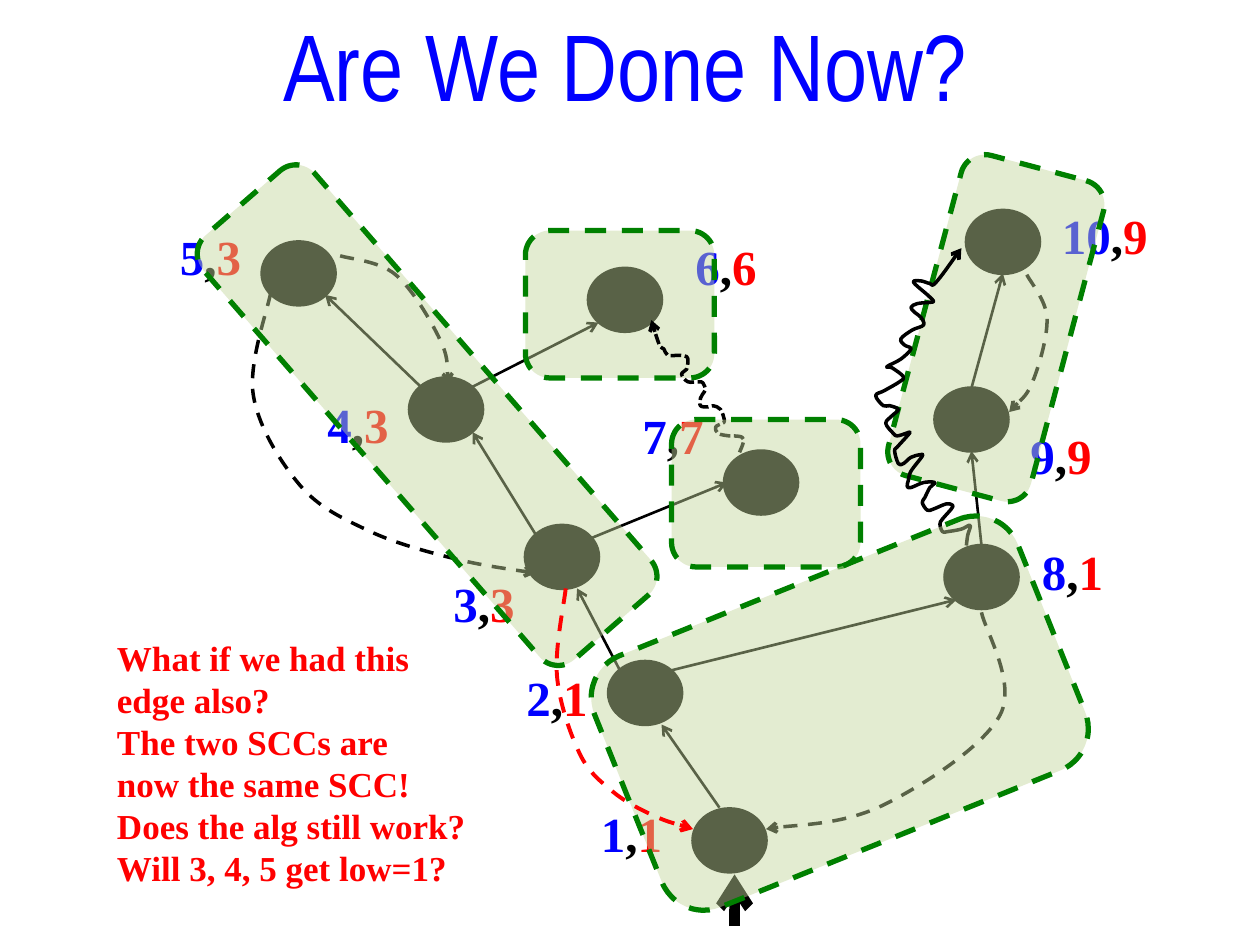
from typing import NamedTuple

from lxml.etree import SubElement
from pptx import Presentation
from pptx.dml.color import RGBColor
from pptx.enum.dml import MSO_LINE
from pptx.enum.shapes import MSO_CONNECTOR, MSO_SHAPE
from pptx.enum.text import MSO_ANCHOR, PP_ALIGN
from pptx.oxml.ns import qn
from pptx.util import Cm, Pt

COLORS = {"blue": "0000FF", "black": "000000", "red": "FF0000",
          "green": "008000", "region": "C3D69B"}
SERIF = "Times New Roman"
NODE_WIDTH, NODE_HEIGHT = 0.58, 0.5

Point = tuple[float, float]


class Node(NamedTuple):
    left: float
    top: float
    index: str
    low: str
    label_left: float
    label_top: float


class Edge(NamedTuple):
    start: Point
    end: Point
    weight: float = 1.5


class Curve(NamedTuple):
    knots: list[Point]
    color: str = "black"
    weight: float = 2
    dash: MSO_LINE | None = MSO_LINE.DASH


class Region(NamedTuple):
    left: float
    top: float
    width: float
    height: float
    rotation: float = 0


NODES = [
    Node(5.5, 6.42, "1", "1", 4.67, 6.33),
    Node(4.83, 5.25, "2", "1", 4.08, 5.25),
    Node(4.17, 4.17, "3", "3", 3.5, 4.5),
    Node(3.25, 3, "4", "3", 2.5, 3.08),
    Node(2.08, 1.92, "5", "3", 1.33, 1.75),
    Node(4.67, 2.13, "6", "6", 5.42, 1.83),
    Node(5.75, 3.58, "7", "7", 5, 3.17),
    Node(7.5, 4.33, "8", "1", 8.17, 4.25),
    Node(7.42, 3.08, "9", "9", 8.08, 3.33),
    Node(7.67, 1.67, "10", "9", 8.33, 1.58),
]
TREE_EDGES = [
    Edge((5.71, 6.41), (5.25, 5.75)),
    Edge((4.92, 5.32), (4.58, 4.67)),
    Edge((4.25, 4.24), (3.75, 3.43)),
    Edge((3.34, 3.07), (2.58, 2.34)),
    Edge((3.75, 3.07), (4.75, 2.56)),
    Edge((4.67, 4.28), (5.77, 3.83)),
    Edge((5.33, 5.32), (7.59, 4.76)),
    Edge((7.79, 4.33), (7.71, 3.58)),
    Edge((7.71, 3.08), (7.96, 2.17)),
    Edge((5.83, 7.35), (5.83, 6.94), weight=6),
]
BACK_EDGES = [
    Curve([(2.15, 2.32), (2.01, 3.13), (2.38, 3.85), (2.92, 4.21), (3.59, 4.43), (4.25, 4.55)]),
    Curve([(2.7, 2.03), (3.14, 2.18), (3.49, 2.69), (3.56, 3.05)]),
    Curve([(7.79, 4.86), (7.94, 5.67), (7.01, 6.39), (6.08, 6.58)]),
    Curve([(8.15, 2.18), (8.31, 2.52), (8.2, 3.02), (8.01, 3.27)]),
]
CROSS_EDGE = Curve([
    (5.87, 3.59), (5.9, 3.51), (5.89, 3.47), (5.83, 3.46), (5.79, 3.46), (5.7, 3.44),
    (5.68, 3.39), (5.73, 3.36), (5.75, 3.34), (5.72, 3.25), (5.66, 3.22), (5.62, 3.23),
    (5.56, 3.22), (5.56, 3.16), (5.59, 3.11), (5.6, 3.09), (5.58, 3.04), (5.55, 3.03),
    (5.46, 3.03), (5.41, 2.97), (5.45, 2.93), (5.46, 2.87), (5.45, 2.83), (5.39, 2.82),
    (5.3, 2.82), (5.27, 2.77), (5.24, 2.75), (5.21, 2.67), (5.18, 2.58), (5.17, 2.54),
], dash=MSO_LINE.SQUARE_DOT)
FORWARD_EDGE = Curve([
    (7.67, 4.33), (7.68, 4.25), (7.7, 4.17), (7.63, 4.2), (7.52, 4.22), (7.48, 4.22),
    (7.46, 4.16), (7.48, 4.12), (7.55, 4.04), (7.56, 4.01), (7.51, 4), (7.41, 4.04),
    (7.36, 4.05), (7.32, 3.99), (7.34, 3.95), (7.38, 3.87), (7.42, 3.83), (7.33, 3.83),
    (7.23, 3.87), (7.2, 3.86), (7.21, 3.81), (7.23, 3.74), (7.32, 3.62), (7.3, 3.61),
    (7.23, 3.63), (7.17, 3.68), (7.13, 3.68), (7.1, 3.58), (7.12, 3.55), (7.21, 3.45),
    (7.22, 3.43), (7.19, 3.44), (7.12, 3.46), (7.09, 3.44), (7.03, 3.36), (7.08, 3.3),
    (7.13, 3.25), (7.06, 3.22), (7.01, 3.22), (6.95, 3.14), (7.02, 3.1), (7.14, 3.03),
    (7.17, 2.99), (7.08, 2.92), (7.04, 2.91), (7.15, 2.85), (7.23, 2.77), (7.18, 2.74),
    (7.15, 2.69), (7.24, 2.62), (7.33, 2.58), (7.31, 2.52), (7.26, 2.48), (7.23, 2.44),
    (7.28, 2.41), (7.38, 2.4), (7.41, 2.39), (7.36, 2.34), (7.25, 2.24), (7.31, 2.23),
    (7.38, 2.25), (7.43, 2.24), (7.63, 1.97),
], dash=None)
EXTRA_EDGE = Curve([
    (4.49, 4.67), (4.42, 5.36), (4.6, 5.98), (4.86, 6.28), (5.18, 6.47), (5.5, 6.58),
], color="red", weight=2.25)
# Components and wavy edges, from back to front
LAYERS = [
    Region(4.17, 1.83, 1.5, 1.17),
    CROSS_EDGE,
    Region(5.33, 3.33, 1.5, 1.17),
    Region(1.16, 2.71, 4.46, 1.17, 49),
    Region(6.59, 2.02, 2.63, 1.17, 104.9),
    FORWARD_EDGE,
    Region(5.59, 3.85, 2.15, 3.62, 68.1),
]
QUESTION = ["What if we had this", "edge also?", "The two SCCs are",
            "now the same SCC!", "Does the alg still work?", "Will 3, 4, 5 get low=1?"]


def inches(*values: float) -> list[Cm]:
    return [Cm(value * 2.54) for value in values]


def rgb(name: str) -> RGBColor:
    return RGBColor.from_string(COLORS[name])


def style_line(line, color: str, weight: float, dash=None, arrow: bool = False) -> None:
    line.color.rgb = rgb(color)
    line.width = Pt(weight)
    if dash is not None:
        line.dash_style = dash
    if arrow:
        SubElement(line._get_or_add_ln(), qn("a:tailEnd"), type="arrow")


def write_text(frame, lines, *, size, font, bold=False, align=PP_ALIGN.LEFT, spacing=None) -> None:
    """Fill a text frame; each line is a list of (text, color name) runs."""
    for number, runs in enumerate(lines):
        paragraph = frame.paragraphs[0] if number == 0 else frame.add_paragraph()
        paragraph.alignment = align
        if spacing:
            paragraph.line_spacing = Pt(spacing)
        for text, color in runs:
            run = paragraph.add_run()
            run.text = text
            run.font.size, run.font.name, run.font.bold = Pt(size), font, bold
            run.font.color.rgb = rgb(color)


def add_text(slide, box: tuple, lines: list, size: float) -> None:
    frame = slide.shapes.add_textbox(*inches(*box)).text_frame
    frame.word_wrap = False
    write_text(frame, lines, size=size, font=SERIF, bold=True, spacing=size * 1.2)


def add_node(slide, node: Node) -> None:
    box = inches(node.left, node.top, NODE_WIDTH, NODE_HEIGHT)
    shape = slide.shapes.add_shape(MSO_SHAPE.OVAL, *box)
    shape.shadow.inherit = False
    shape.fill.solid()
    shape.fill.fore_color.rgb = rgb("black")
    style_line(shape.line, "black", 2)


def add_label(slide, node: Node) -> None:
    width = 0.49 + 0.2 * len(node.index)
    runs = [(node.index, "blue"), (",", "black"), (node.low, "red")]
    add_text(slide, (node.label_left, node.label_top, width, 0.57), [runs], 28)


def add_edge(slide, edge: Edge) -> None:
    connector = slide.shapes.add_connector(MSO_CONNECTOR.STRAIGHT, *inches(*edge.start, *edge.end))
    style_line(connector.line, "black", edge.weight, arrow=True)
    SubElement(connector._element.spPr, qn("a:effectLst"))


def bend_segments(shape) -> None:
    """Turn the straight segments of a freeform into one smooth Bézier spline."""
    points = [(int(point.get("x")), int(point.get("y")))
              for point in shape._element.iter(qn("a:pt"))]
    padded = [points[0], *points, points[-1]]
    segments = list(shape._element.iter(qn("a:lnTo")))
    for segment, a, b, c, d in zip(segments, padded, padded[1:], padded[2:], padded[3:]):
        first = [b[i] + (c[i] - a[i]) / 6 for i in (0, 1)]
        second = [c[i] - (d[i] - b[i]) / 6 for i in (0, 1)]
        segment.tag = qn("a:cubicBezTo")
        segment.remove(segment[0])
        for x, y in (first, second, c):
            SubElement(segment, qn("a:pt"), x=str(round(x)), y=str(round(y)))


def add_curve(slide, curve: Curve) -> None:
    start, *others = [inches(*point) for point in curve.knots]
    builder = slide.shapes.build_freeform(*start)
    builder.add_line_segments(others, close=False)
    shape = builder.convert_to_shape()
    bend_segments(shape)
    shape.shadow.inherit = False
    shape.fill.background()
    style_line(shape.line, curve.color, curve.weight, curve.dash, arrow=True)


def add_region(slide, region: Region) -> None:
    shape = slide.shapes.add_shape(MSO_SHAPE.ROUNDED_RECTANGLE, *inches(*region[:4]))
    shape.rotation = region.rotation
    shape.shadow.inherit = False
    shape.fill.solid()
    shape.fill.fore_color.rgb = rgb("region")
    color = shape._element.spPr.find(qn("a:solidFill"))[0]
    SubElement(color, qn("a:alpha"), val="46000")
    style_line(shape.line, "green", 3, MSO_LINE.DASH)


def main() -> None:
    presentation = Presentation()
    presentation.slide_width, presentation.slide_height = inches(10, 7.5)
    slide = presentation.slides.add_slide(presentation.slide_layouts[5])
    title = slide.shapes.title
    title.left, title.top, title.width, title.height = inches(0.67, 0, 8.58, 1.01)
    title.text_frame.vertical_anchor = MSO_ANCHOR.MIDDLE
    write_text(title.text_frame, [[("Are We Done Now?", "blue")]], size=54,
               font="Arial Narrow", align=PP_ALIGN.CENTER)
    for draw, items in ((add_node, NODES), (add_edge, TREE_EDGES),
                        (add_curve, BACK_EDGES), (add_label, NODES)):
        for item in items:
            draw(slide, item)
    for layer in LAYERS:
        (add_region if isinstance(layer, Region) else add_curve)(slide, layer)
    add_text(slide, (0.83, 5, 2.99, 2.12), [[(line, "red")] for line in QUESTION], 20)
    add_curve(slide, EXTRA_EDGE)
    presentation.save("out.pptx")


if __name__ == "__main__":
    main()
